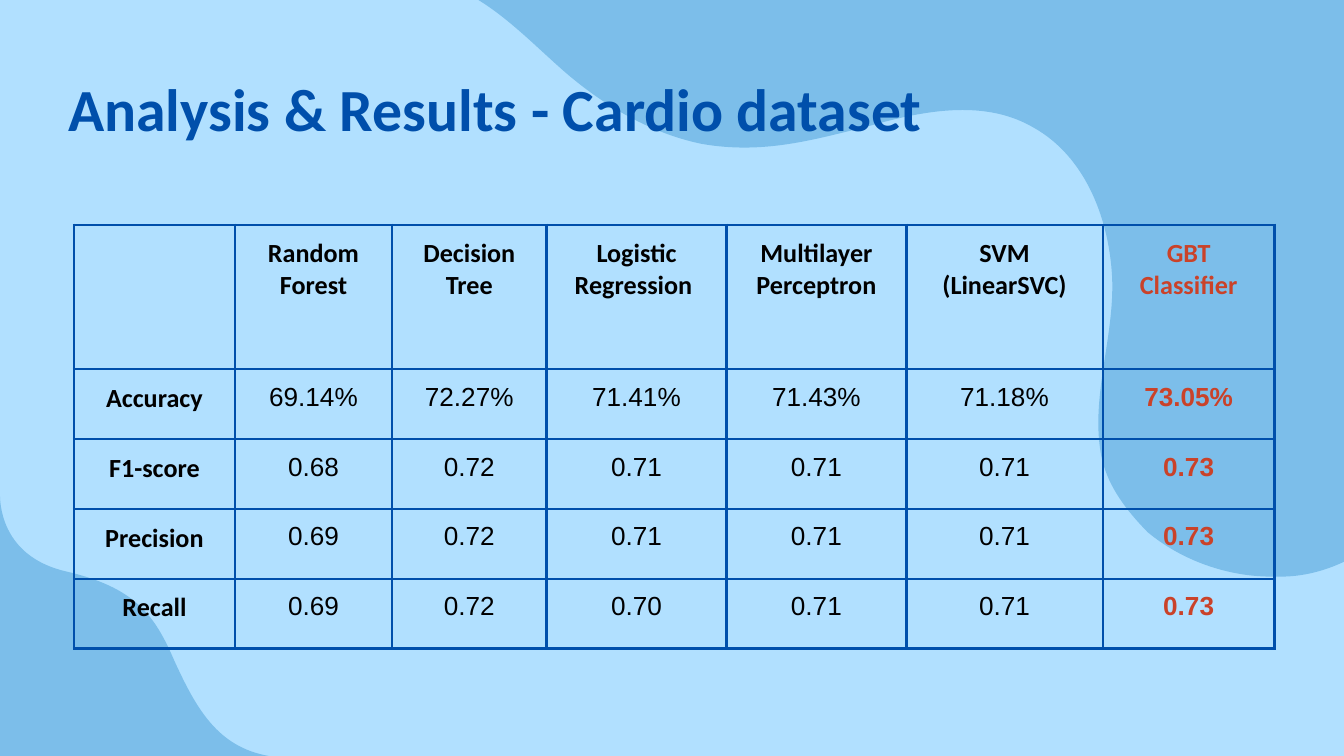
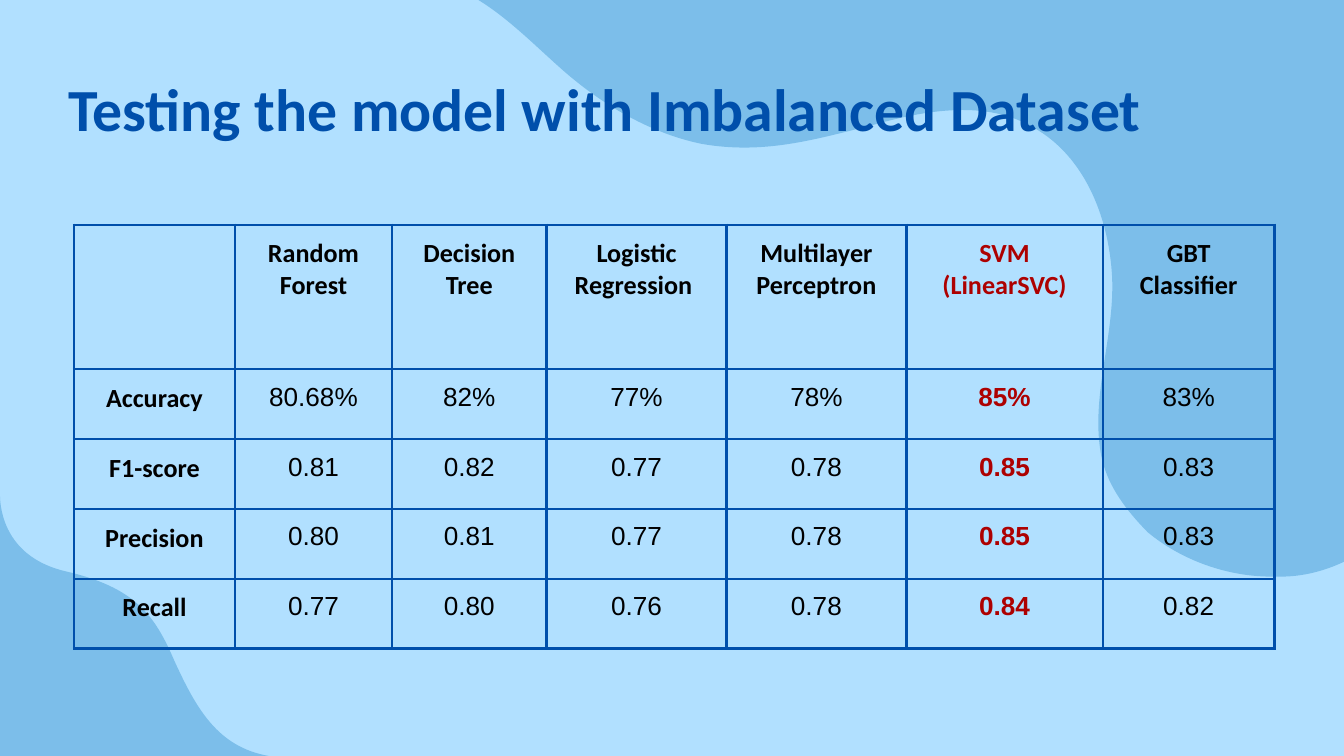
import dataclasses

import lxml.etree
import pptx
import pptx.dml.color
import pptx.enum.text
import pptx.oxml.ns
import pptx.util

Cm = pptx.util.Cm
Pt = pptx.util.Pt
RGB = pptx.dml.color.RGBColor.from_string
qn = pptx.oxml.ns.qn


@dataclasses.dataclass(frozen=True)
class Theme:
    background: str = "B1E0FF"
    wave: str = "7CBEEA"
    accent: str = "004FAB"
    ink: str = "000000"
    cardio_best: str = "CA4229"
    imbalanced_best: str = "AD0101"
    label_font: str = "Calibri"
    value_font: str = "Arial"
    title_size: int = 32
    table_size: int = 14
    border_width: float = 1.5
    inset: float = 0.25


THEME = Theme()
SLIDE_WIDTH, SLIDE_HEIGHT = 25.4, 14.29

UPPER_WAVE = [
    (24.03, 10.9),
    (24.1, 10.9, 24.16, 10.9, 24.21, 10.9),
    (24.61, 10.9, 25.02, 10.8, SLIDE_WIDTH, 10.62),
    (SLIDE_WIDTH, 0),
    (9.04, 0),
    (9.58, 0.33, 10.06, 0.81, 10.54, 1.24),
    (11.3, 1.93, 12.24, 2.51, 13.26, 2.72),
    (13.54, 2.77, 13.82, 2.79, 14.07, 2.79),
    (14.91, 2.79, 15.67, 2.57, 16.51, 2.36),
    (17.04, 2.21, 17.63, 2.08, 18.19, 2.08),
    (18.64, 2.08, 19.1, 2.16, 19.53, 2.41),
    (20.5, 2.95, 20.93, 4.09, 21.01, 5.11),
    (21.11, 6.3, 20.57, 7.52, 20.83, 8.69),
    (20.96, 9.22, 21.29, 9.65, 21.69, 10.06),
    (22.33, 10.59, 23.19, 10.9, 24.03, 10.9),
]
LOWER_WAVE = [
    (0, SLIDE_HEIGHT),
    (0, 9.35),
    (0, 9.68, 0.13, 10.54, 1.24, 10.8),
    (2.54, 11.1, 2.92, 11.61, 3.3, 12.5),
    (3.71, 13.39, 4.11, 14.12, 5.08, SLIDE_HEIGHT),
]

MODELS = ["Random Forest", "Decision Tree", "Logistic Regression ",
          "Multilayer Perceptron", "SVM (LinearSVC)", "GBT Classifier"]
METRICS = ["Accuracy", "F1-score", "Precision", "Recall"]
COLUMN_WIDTHS = [3.04, 2.97, 2.92, 3.4, 3.4, 3.71, 3.25]
ROW_HEIGHTS = [2.73] + [1.32] * len(METRICS)

CARDIO_SCORES = [
    ["69.14%", "72.27%", "71.41%", "71.43%", "71.18%", "73.05%"],
    ["0.68", "0.72", "0.71", "0.71", "0.71", "0.73"],
    ["0.69", "0.72", "0.71", "0.71", "0.71", "0.73"],
    ["0.69", "0.72", "0.70", "0.71", "0.71", "0.73"],
]
IMBALANCED_SCORES = [
    ["80.68%", "82%", "77%", "78%", "85%", "83%"],
    ["0.81", "0.82", "0.77", "0.78", "0.85", "0.83"],
    ["0.80", "0.81", "0.77", "0.78", "0.85", "0.83"],
    ["0.77", "0.80", "0.76", "0.78", "0.84", "0.82"],
]


def bend_lines(wave, segments):
    lines = list(wave._element.iter(qn("a:lnTo")))
    for line, segment in zip(lines, segments):
        if len(segment) == 2:
            continue
        curve = lxml.etree.Element(qn("a:cubicBezTo"))
        for x, y in zip(segment[::2], segment[1::2]):
            lxml.etree.SubElement(curve, qn("a:pt"),
                                  x=str(Cm(x) - wave.left),
                                  y=str(Cm(y) - wave.top))
        line.getparent().replace(line, curve)


def add_wave(slide, segments):
    start, *ends = [(Cm(s[-2]), Cm(s[-1])) for s in segments]
    outline = slide.shapes.build_freeform(*start)
    outline.add_line_segments(ends, close=True)
    wave = outline.convert_to_shape()
    bend_lines(wave, segments[1:])
    wave.shadow.inherit = False
    wave.fill.solid()
    wave.fill.fore_color.rgb = RGB(THEME.wave)
    wave.line.fill.background()


def set_font(paragraph, name, size, color, bold):
    paragraph.font.name = name
    paragraph.font.size = Pt(size)
    paragraph.font.bold = bold
    paragraph.font.color.rgb = RGB(color)


def set_insets(holder):
    holder.margin_left = holder.margin_right = Cm(THEME.inset)
    holder.margin_top = holder.margin_bottom = Cm(THEME.inset)


def add_title(slide, text):
    title = slide.shapes.add_textbox(Cm(1.04), Cm(0.83), Cm(21.62), Cm(2.57))
    frame = title.text_frame
    frame.word_wrap = True
    frame.vertical_anchor = pptx.enum.text.MSO_ANCHOR.MIDDLE
    set_insets(frame)
    heading = frame.paragraphs[0]
    heading.text = text
    heading.line_spacing = 0.9
    set_font(heading, THEME.label_font, THEME.title_size, THEME.accent, True)


def add_borders(cell):
    properties = cell._tc.get_or_add_tcPr()
    for side in ("lnL", "lnR", "lnT", "lnB"):
        border = lxml.etree.SubElement(properties, qn(f"a:{side}"),
                                       w=str(Pt(THEME.border_width)))
        paint = lxml.etree.SubElement(border, qn("a:solidFill"))
        lxml.etree.SubElement(paint, qn("a:srgbClr"), val=THEME.accent)


def fill_cell(cell, text, font, color, bold):
    add_borders(cell)
    cell.fill.background()
    set_insets(cell)
    if not text:
        return
    paragraph = cell.text_frame.paragraphs[0]
    paragraph.text = text
    paragraph.alignment = pptx.enum.text.PP_ALIGN.CENTER
    set_font(paragraph, font, THEME.table_size, color, bold)


def add_score_table(slide, scores, best_model, best_color):
    rows = [["", *MODELS]]
    rows += [[metric, *values] for metric, values in zip(METRICS, scores)]
    table = slide.shapes.add_table(
        len(ROW_HEIGHTS), len(COLUMN_WIDTHS), Cm(1.4), Cm(4.25),
        Cm(sum(COLUMN_WIDTHS)), Cm(sum(ROW_HEIGHTS))).table
    table.first_row = table.horz_banding = False
    for column, width in zip(table.columns, COLUMN_WIDTHS):
        column.width = Cm(width)
    for row, height in zip(table.rows, ROW_HEIGHTS):
        row.height = Cm(height)
    best_column = rows[0].index(best_model)
    for r, row in enumerate(rows):
        for c, text in enumerate(row):
            is_label = r == 0 or c == 0
            is_best = c == best_column
            fill_cell(table.cell(r, c), text,
                      THEME.label_font if is_label else THEME.value_font,
                      best_color if is_best else THEME.ink,
                      is_label or is_best)


def add_results_slide(deck, title, scores, best_model, best_color):
    slide = deck.slides.add_slide(deck.slide_layouts[6])
    slide.background.fill.solid()
    slide.background.fill.fore_color.rgb = RGB(THEME.background)
    for wave in (UPPER_WAVE, LOWER_WAVE):
        add_wave(slide, wave)
    add_title(slide, title)
    add_score_table(slide, scores, best_model, best_color)


def main():
    deck = pptx.Presentation()
    deck.slide_width, deck.slide_height = Cm(SLIDE_WIDTH), Cm(SLIDE_HEIGHT)
    add_results_slide(deck, "Analysis & Results - Cardio dataset",
                      CARDIO_SCORES, "GBT Classifier", THEME.cardio_best)
    add_results_slide(deck, "Testing the model with Imbalanced Dataset",
                      IMBALANCED_SCORES, "SVM (LinearSVC)",
                      THEME.imbalanced_best)
    deck.save("out.pptx")


if __name__ == "__main__":
    main()
